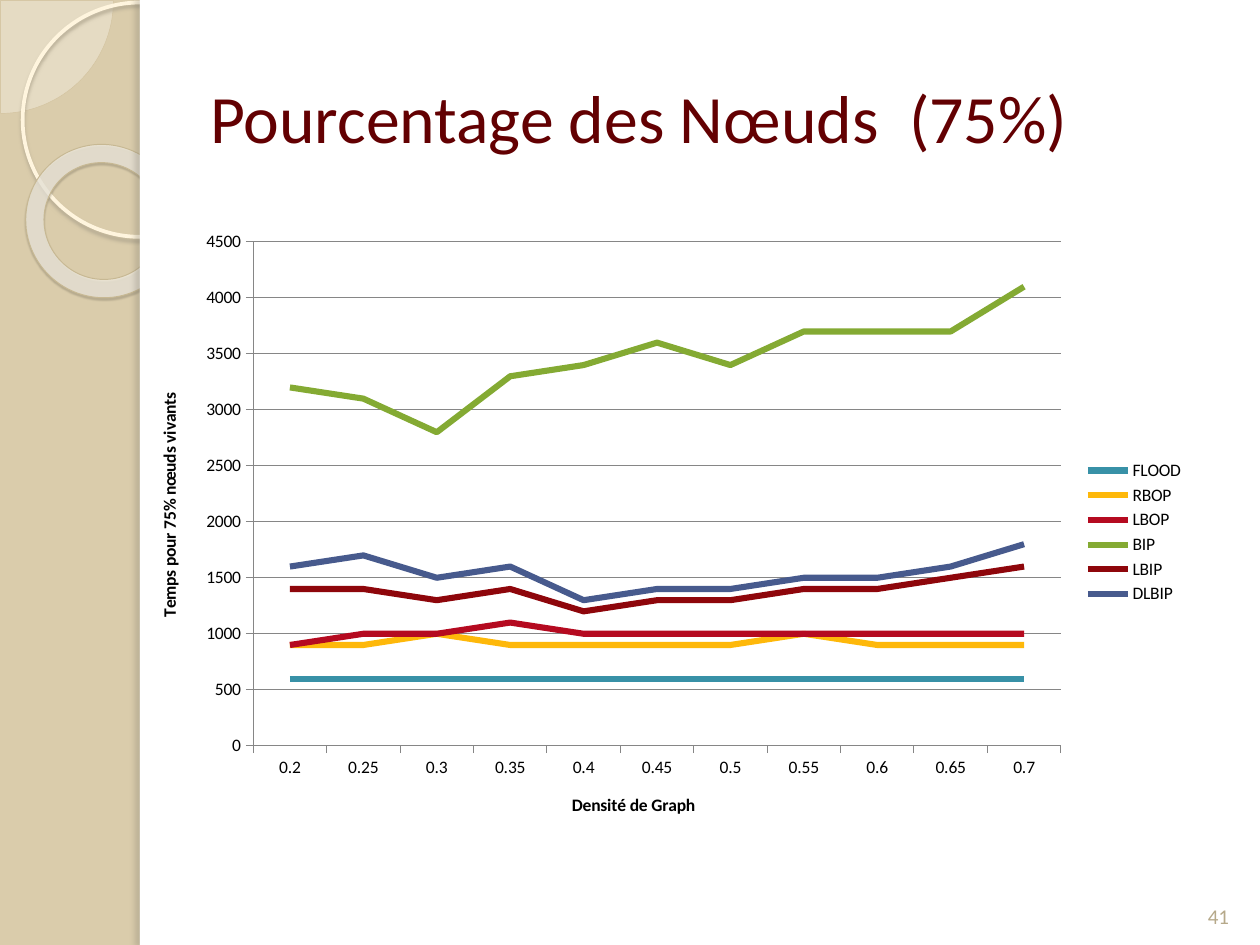
from dataclasses import dataclass

from lxml import etree
from pptx import Presentation
from pptx import util as u
from pptx.chart.data import CategoryChartData
from pptx.dml.color import RGBColor
from pptx.enum import chart as ch, shapes, text
from pptx.oxml import parse_xml
from pptx.oxml.ns import nsdecls, qn

WIDE, HIGH = 10, 7.5
FONT = "Calibri"
SAND = RGBColor(0xDA, 0xCC, 0xAB)
CREAM = RGBColor(0xFE, 0xFA, 0xF4)
TAN = RGBColor(0xD3, 0xC3, 0x9F)
RING = RGBColor(0xFF, 0xF5, 0xDE)
PEARL = RGBColor(0xF2, 0xEE, 0xE4)
RIM = RGBColor(0xC7, 0xB8, 0x93)
WHITE = RGBColor(0xFF, 0xFF, 0xFF)
BLACK = RGBColor(0, 0, 0)
GREY = RGBColor(0x86, 0x86, 0x86)
WINE = RGBColor(0x63, 0x00, 0x02)
DUST = RGBColor(0xB6, 0xA9, 0x8A)

Box = tuple[float, float, float, float]


@dataclass
class Shade:
    color: str
    alpha: int
    blur: float
    dist: float
    angle: int


@dataclass
class Part:
    kind: shapes.MSO_SHAPE
    box: Box
    fill: RGBColor | None = None
    alpha: int = 100
    line: RGBColor | None = None
    width: float = 0
    shade: Shade | None = None
    adj: tuple[float, ...] = ()
    turn: float = 0


@dataclass
class Curve:
    name: str
    color: RGBColor
    vals: tuple[int, ...]


S = shapes.MSO_SHAPE
EDGE = 1.11
PARTS = [
    Part(S.PIE, (-0.89, -0.89, 1.79, 1.79), CREAM, 33, TAN, 0.25, adj=(0, 54)),
    Part(S.OVAL, (0.18, 0.02, 1.86, 1.86), line=RING, width=2.15,
         shade=Shade("B0A68F", 85, 2, 2, 90)),
    Part(S.DONUT, (0.2, 1.15, 1.23, 1.21), PEARL, 70, RIM, 0.58,
         Shade("5A5444", 35, 1, 1.2, 75), (0.12,), 38.6),
    Part(S.RECTANGLE, (EDGE, 0, WIDE - EDGE, HIGH), WHITE),
    Part(S.RECTANGLE, (EDGE, 0, 0.08, HIGH), WHITE,
         shade=Shade("736F63", 25, 3, 3, 180)),
]

GRAPH = (1.05, 1.75, 8.45, 4.95)
INNER = (2.01, 1.92, 6.41, 4)
CATS = ("0.2", "0.25", "0.3", "0.35", "0.4", "0.45",
        "0.5", "0.55", "0.6", "0.65", "0.7")
CURVES = [
    Curve("FLOOD", RGBColor(0x38, 0x91, 0xA7), (600,) * len(CATS)),
    Curve("RBOP", RGBColor(0xFE, 0xB8, 0x0A),
          (900, 900, 1000, 900, 900, 900, 900, 1000, 900, 900, 900)),
    Curve("LBOP", RGBColor(0xB5, 0x0A, 0x20),
          (900, 1000, 1000, 1100, 1000, 1000, 1000, 1000, 1000, 1000, 1000)),
    Curve("BIP", RGBColor(0x84, 0xAA, 0x33),
          (3200, 3100, 2800, 3300, 3400, 3600, 3400, 3700, 3700, 3700, 4100)),
    Curve("LBIP", RGBColor(0x8E, 0x06, 0x0B),
          (1400, 1400, 1300, 1400, 1200, 1300, 1300, 1400, 1400, 1500, 1600)),
    Curve("DLBIP", RGBColor(0x47, 0x5A, 0x8D),
          (1600, 1700, 1500, 1600, 1300, 1400, 1400, 1500, 1500, 1600, 1800)),
]


def inch(box: Box) -> list[u.Length]:
    return [u.Inches(n) for n in box]


def cast(shape, shade: Shade) -> None:
    """Give the shape an outer shadow."""
    props = shape.fill._xPr
    old = props.find(qn("a:effectLst"))
    new = parse_xml(
        f'<a:effectLst {nsdecls("a")}><a:outerShdw blurRad="{u.Pt(shade.blur)}" '
        f'dist="{u.Pt(shade.dist)}" dir="{shade.angle * 60000}" rotWithShape="0">'
        f'<a:srgbClr val="{shade.color}"><a:alpha val="{shade.alpha * 1000}"/>'
        '</a:srgbClr></a:outerShdw></a:effectLst>')
    props.replace(old, new)


def draw(slide, part: Part) -> None:
    shape = slide.shapes.add_shape(part.kind, *inch(part.box))
    shape.rotation = part.turn
    for i, n in enumerate(part.adj):
        shape.adjustments[i] = n
    if part.fill is None:
        shape.fill.background()
    else:
        shape.fill.solid()
        shape.fill.fore_color.rgb = part.fill
        if part.alpha < 100:
            tint = shape.fill._xPr.find(qn("a:solidFill"))[0]
            etree.SubElement(tint, qn("a:alpha"), val=str(part.alpha * 1000))
    if part.line is None:
        shape.line.fill.background()
    else:
        shape.line.color.rgb = part.line
        shape.line.width = u.Pt(part.width)
    shape.shadow.inherit = False
    if part.shade:
        cast(shape, part.shade)


def style(font, size: float, color: RGBColor, bold: bool = False) -> None:
    font.name, font.size, font.bold = FONT, u.Pt(size), bold
    font.color.rgb = color


def write(slide, words: str, box: Box, size: float, color: RGBColor,
          anchor: text.MSO_ANCHOR, align: text.PP_ALIGN) -> None:
    frame = slide.shapes.add_textbox(*inch(box)).text_frame
    frame.word_wrap = True
    frame.vertical_anchor = anchor
    para = frame.paragraphs[0]
    para.alignment = align
    run = para.add_run()
    run.text = words
    style(run.font, size, color)


def label(axis, words: str) -> None:
    """Title the axis and set its line, ticks and font."""
    run = axis.axis_title.text_frame.paragraphs[0].add_run()
    run.text = words
    style(run.font, 10, BLACK, True)
    style(axis.tick_labels.font, 10, BLACK)
    axis.major_tick_mark = ch.XL_TICK_MARK.OUTSIDE
    axis.format.line.color.rgb = GREY
    axis.format.line.width = u.Pt(0.5)


def place(chart, box: Box, inner: Box) -> None:
    """Fix the inner plot area as shares of the chart's box."""
    left, top, wide, high = box
    x, y, w, h = inner
    shares = ((x - left) / wide, (y - top) / high, w / wide, h / high)
    area = chart._chartSpace.chart.plotArea
    old = area.find(qn("c:layout"))
    if old is not None:
        area.remove(old)
    sizes = "".join(f'<c:{k} val="{n}"/>' for k, n in zip("xywh", shares))
    area.insert(0, parse_xml(
        f'<c:layout {nsdecls("c")}><c:manualLayout><c:layoutTarget val="inner"/>'
        '<c:xMode val="edge"/><c:yMode val="edge"/>'
        f'{sizes}</c:manualLayout></c:layout>'))


def plot(slide) -> None:
    data = CategoryChartData()
    data.categories = CATS
    for curve in CURVES:
        data.add_series(curve.name, curve.vals)
    chart = slide.shapes.add_chart(
        ch.XL_CHART_TYPE.LINE, *inch(GRAPH), data).chart
    style(chart.font, 10, BLACK)
    chart.has_title = False
    chart.has_legend = True
    chart.legend.position = ch.XL_LEGEND_POSITION.RIGHT
    chart.legend.include_in_layout = False
    chart.plots[0].vary_by_categories = False
    label(chart.category_axis, "Densité de Graph")
    axis = chart.value_axis
    label(axis, "Temps pour 75% nœuds vivants")
    axis.minimum_scale, axis.maximum_scale, axis.major_unit = 0, 4500, 500
    axis.has_major_gridlines = True
    axis.major_gridlines.format.line.color.rgb = GREY
    axis.major_gridlines.format.line.width = u.Pt(0.5)
    for line, curve in zip(chart.plots[0].series, CURVES):
        line.smooth = False
        line.marker.style = ch.XL_MARKER_STYLE.NONE
        line.format.line.color.rgb = curve.color
        line.format.line.width = u.Pt(3.5)
    place(chart, GRAPH, INNER)


def main() -> None:
    deck = Presentation()
    deck.slide_width, deck.slide_height = u.Inches(WIDE), u.Inches(HIGH)
    slide = deck.slides.add_slide(deck.slide_layouts[6])
    slide.background.fill.solid()
    slide.background.fill.fore_color.rgb = SAND
    for part in PARTS:
        draw(slide, part)
    write(slide, "Pourcentage des Nœuds  (75%)", (1.57, 0.3, 8.2, 1.25),
          38.7, WINE, text.MSO_ANCHOR.MIDDLE, text.PP_ALIGN.LEFT)
    plot(slide)
    write(slide, "41", (9.42, 6.9, 0.5, 0.52),
          12, DUST, text.MSO_ANCHOR.BOTTOM, text.PP_ALIGN.CENTER)
    deck.save("out.pptx")


if __name__ == "__main__":
    main()
